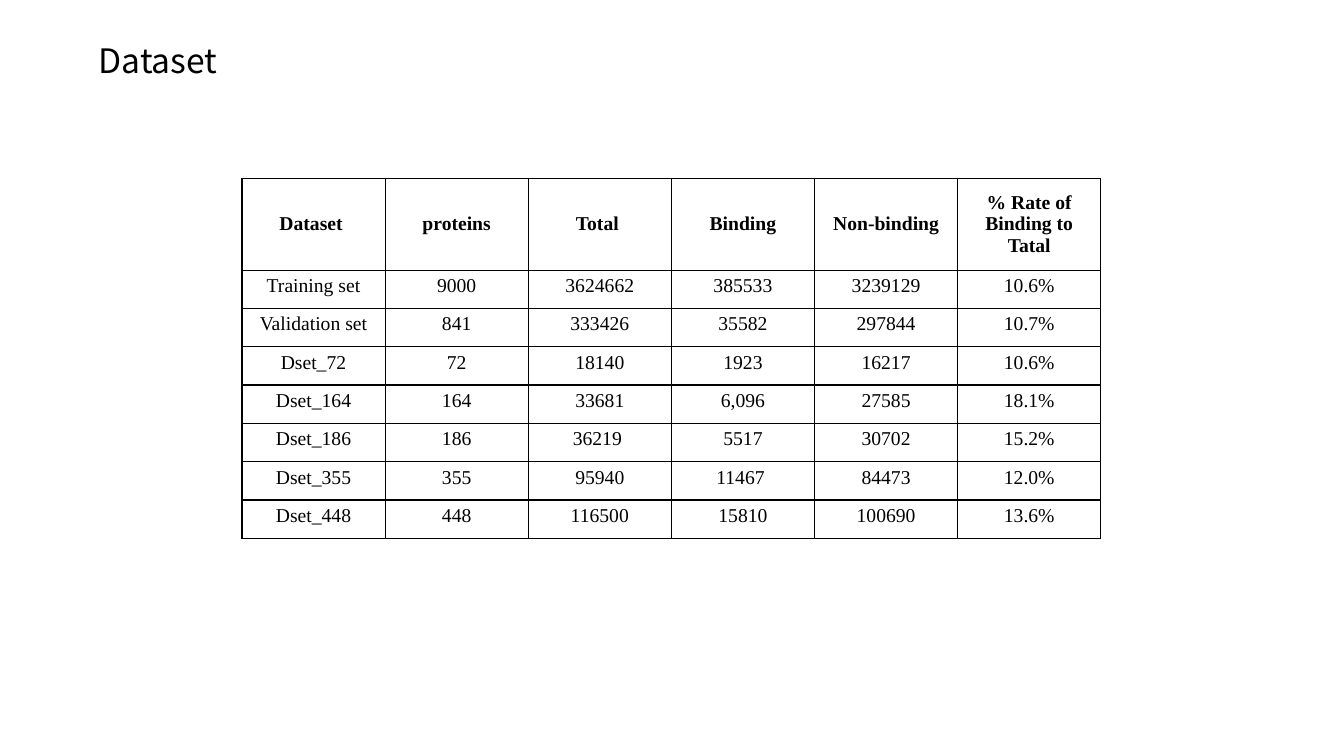
from lxml import etree
from pptx import Presentation, util as u
from pptx.dml.color import RGBColor
from pptx.enum import text
from pptx.oxml import ns

BLACK, WHITE = "000000", "FFFFFF"
TITLE_FONT, TABLE_FONT = "Noto Sans CJK SC", "Times New Roman"
COLUMN_WIDTH, HEADER_HEIGHT, ROW_HEIGHT = 1.42, 0.91, 0.38

HEADER = ["Dataset ", "proteins", "Total ", "Binding", "Non-binding",
          "% Rate of Binding to Tatal"]
DATASETS = [
    ["Training set", "9000", "3624662", "385533", "3239129", "10.6%"],
    ["Validation set", "841", "333426", "35582", "297844", "10.7%"],
    ["Dset_72", "72", "18140", "1923", "16217", "10.6%"],
    ["Dset_164", "164", "33681", "6,096", "27585", "18.1%"],
    ["Dset_186", "186", "36219 ", "5517", "30702", "15.2%"],
    ["Dset_355", "355", "95940", "11467 ", "84473", "12.0%"],
    ["Dset_448", "448", "116500", "15810", "100690", "13.6%"],
]


def paint(color_format, color):
    color_format.rgb = RGBColor.from_string(color)


def add_span(para, words, font, size, bold=False):
    span = para.add_run()
    span.text = words
    span.font.name, span.font.size, span.font.bold = font, u.Pt(size), bold
    paint(span.font.color, BLACK)


def add_borders(cell, color, points):
    properties = cell._tc.get_or_add_tcPr()
    for position, side in enumerate(("lnL", "lnR", "lnT", "lnB")):
        line = etree.Element(ns.qn(f"a:{side}"), w=str(u.Pt(points)))
        fill = etree.SubElement(line, ns.qn("a:solidFill"))
        etree.SubElement(fill, ns.qn("a:srgbClr"), val=color)
        properties.insert(position, line)


def add_title(page, left, top, width, height):
    box = page.shapes.add_textbox(*map(u.Inches, (left, top, width, height)))
    box.text_frame.word_wrap = True
    box.text_frame.auto_size = text.MSO_AUTO_SIZE.SHAPE_TO_FIT_TEXT
    add_span(box.text_frame.paragraphs[0], "Dataset", TITLE_FONT, 24)


def fill_cell(cell, words, is_header):
    cell.fill.solid()
    paint(cell.fill.fore_color, WHITE)
    add_borders(cell, BLACK, 1)
    if is_header:
        cell.vertical_anchor = text.MSO_ANCHOR.MIDDLE
    para = cell.text_frame.paragraphs[0]
    para.alignment = text.PP_ALIGN.CENTER
    add_span(para, words, TABLE_FONT, 14, is_header)


def add_dataset_table(page, left, top):
    rows = [HEADER] + DATASETS
    width = COLUMN_WIDTH * len(HEADER)
    height = HEADER_HEIGHT + ROW_HEIGHT * len(DATASETS)
    table = page.shapes.add_table(
        len(rows), len(HEADER), *map(u.Inches, (left, top, width, height))).table
    table.horz_banding = False
    for column in table.columns:
        column.width = u.Inches(COLUMN_WIDTH)
    for index, row in enumerate(rows):
        is_header = index == 0
        table.rows[index].height = u.Inches(HEADER_HEIGHT if is_header else ROW_HEIGHT)
        for cell, words in zip(table.rows[index].cells, row):
            fill_cell(cell, words, is_header)


def main():
    deck = Presentation()
    deck.slide_width, deck.slide_height = u.Inches(13.33), u.Inches(7.5)
    page = deck.slides.add_slide(deck.slide_layouts[6])
    add_dataset_table(page, 2.4, 1.77)
    add_title(page, 0.88, 0.35, 4.44, 0.5)
    deck.save("out.pptx")


if __name__ == "__main__":
    main()
